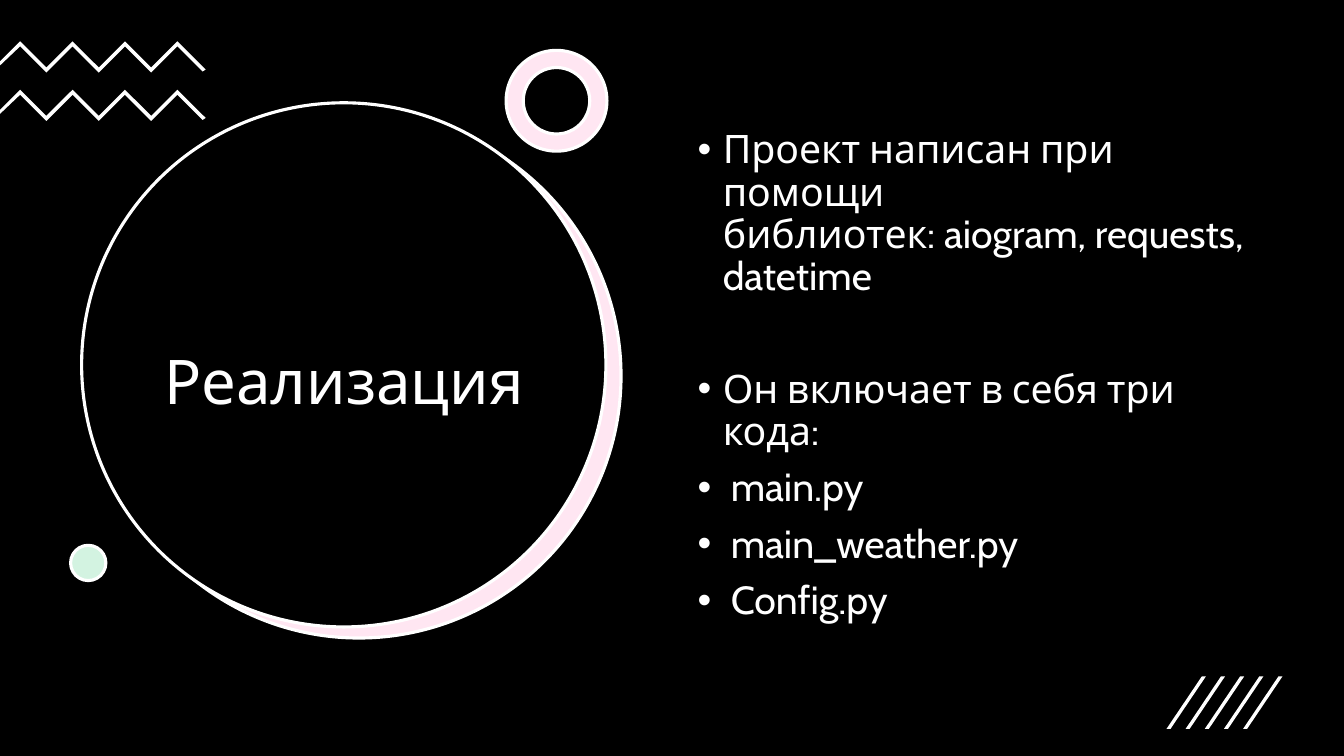
"""Build the slide about how the project is implemented."""
from lxml.etree import SubElement
from pptx import Presentation
from pptx.dml.color import RGBColor
from pptx.enum.shapes import MSO_SHAPE
from pptx.enum.text import MSO_ANCHOR, PP_ALIGN
from pptx.oxml.ns import qn
from pptx.util import Inches, Pt

BLACK = RGBColor(0x00, 0x00, 0x00)
WHITE = RGBColor(0xFF, 0xFF, 0xFF)
PINK = RGBColor(0xFF, 0xE6, 0xF2)
MINT = RGBColor(0xD3, 0xF3, 0xE1)
FONT = "Cabin"
NO_BREAK_SPACE = chr(160)

TITLE = "Реализация"
BULLETS = [
    (f"Проект написан при помощи библиотек:{NO_BREAK_SPACE}aiogram, requests, datetime", 10, 0.25),
    ("Он включает в себя три кода:", 50, 0.25),
    ("main.py", 10, 0.33),
    ("main_weather.py", 10, 0.33),
    ("Config.py", 10, 0.33),
]
ROUND_SHAPES = [
    (MSO_SHAPE.OVAL, 0.96, 1.13, 5.2, PINK),
    (MSO_SHAPE.OVAL, 0.81, 1.02, 5.2, BLACK),
    (MSO_SHAPE.DONUT, 5.02, 0.5, 1, PINK),
    (MSO_SHAPE.OVAL, 0.7, 5.41, 0.35, MINT),
]
ZIGZAG_TOPS = [0.41, 0.89]
ZIGZAG_STEP = 0.26
ZIGZAG_THICKNESS = 0.05
STRIPE_COUNT, STRIPE_LEFT, STRIPE_STEP = 5, 11.57, 0.19
STRIPE_TOP, STRIPE_BOTTOM = 6.71, 7.23
STRIPE_SLANT, STRIPE_WIDTH = 0.35, 0.04


def add_round(page, kind, left, top, size, color):
    shape = page.shapes.add_shape(kind, Inches(left), Inches(top), Inches(size), Inches(size))
    shape.shadow.inherit = False
    shape.fill.solid()
    shape.fill.fore_color.rgb = color
    shape.line.color.rgb = WHITE
    shape.line.width = Pt(2.25)
    if kind == MSO_SHAPE.DONUT:
        shape.adjustments[0] = 0.17


def add_outline(page, points):
    corners = [(Inches(x), Inches(y)) for x, y in points]
    builder = page.shapes.build_freeform(*corners[0])
    builder.add_line_segments(corners[1:], close=True)
    shape = builder.convert_to_shape()
    shape.shadow.inherit = False
    shape.fill.solid()
    shape.fill.fore_color.rgb = WHITE
    shape.line.fill.background()


def add_zigzag(page, top):
    middle = [(0.2 + ZIGZAG_STEP * index, top + ZIGZAG_STEP * (index % 2)) for index in range(7)]
    upper = [(0, top + 0.2), *middle, (2.04, top + 0.28)]
    lower = [(0, top + 0.24), *((x, y + ZIGZAG_THICKNESS) for x, y in middle), (2.01, top + 0.3)]
    add_outline(page, upper + lower[::-1])


def add_stripe(page, left):
    right = left + STRIPE_SLANT
    add_outline(page, [
        (left + STRIPE_WIDTH, STRIPE_BOTTOM), (left, STRIPE_BOTTOM),
        (right, STRIPE_TOP), (right + STRIPE_WIDTH, STRIPE_TOP),
    ])


def add_text_frame(page, left, top, width, height):
    box = page.shapes.add_textbox(Inches(left), Inches(top), Inches(width), Inches(height))
    box.text_frame.word_wrap = True
    return box.text_frame


def write(para, text, size):
    para.text = text
    para.line_spacing = 0.9
    for span in para.runs:
        span.font.name = FONT
        span.font.size = Pt(size)
        span.font.color.rgb = WHITE


def add_bullet(para, indent):
    properties = para._p.get_or_add_pPr()
    properties.set("marL", str(Inches(indent)))
    properties.set("indent", str(-Inches(indent)))
    SubElement(properties, qn("a:buFont")).set("typeface", "Arial")
    SubElement(properties, qn("a:buChar")).set("char", "•")


def main():
    deck = Presentation()
    deck.slide_width, deck.slide_height = Inches(13.33), Inches(7.5)
    page = deck.slides.add_slide(deck.slide_layouts[6])
    page.background.fill.solid()
    page.background.fill.fore_color.rgb = BLACK

    for round_shape in ROUND_SHAPES:
        add_round(page, *round_shape)
    for top in ZIGZAG_TOPS:
        add_zigzag(page, top)
    for index in range(STRIPE_COUNT):
        add_stripe(page, STRIPE_LEFT + STRIPE_STEP * index)

    title = add_text_frame(page, 1.21, 2.05, 4.41, 3.52)
    title.vertical_anchor = MSO_ANCHOR.MIDDLE
    write(title.paragraphs[0], TITLE, 44)
    title.paragraphs[0].alignment = PP_ALIGN.CENTER

    body = add_text_frame(page, 6.82, 1.24, 5.71, 4.76)
    for index, (text, gap, indent) in enumerate(BULLETS):
        para = body.add_paragraph() if index else body.paragraphs[0]
        write(para, text, 28)
        para.space_before = Pt(gap)
        add_bullet(para, indent)

    deck.save("out.pptx")


if __name__ == "__main__":
    main()
